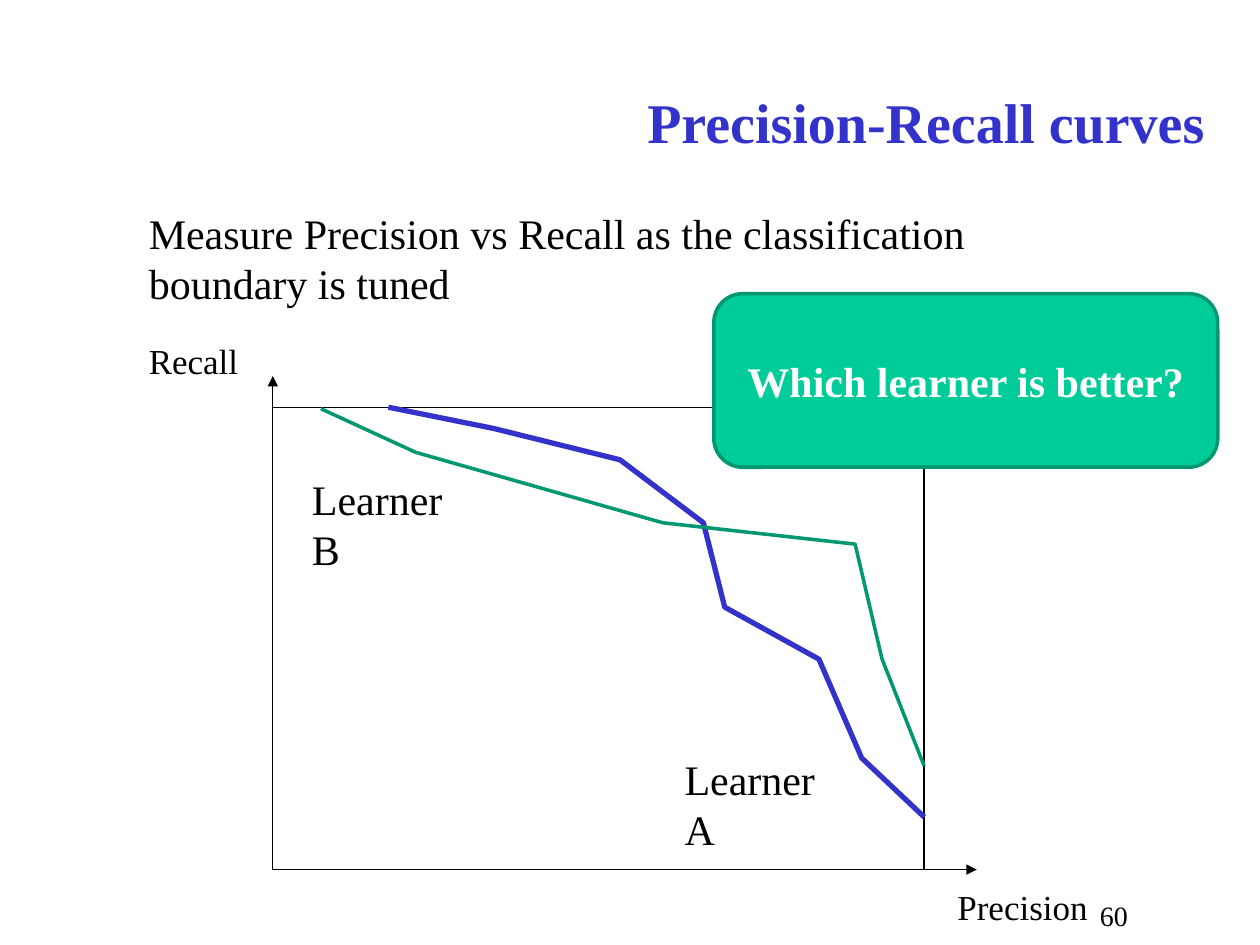
from pptx import Presentation
from pptx.dml.color import RGBColor
from pptx.enum.shapes import MSO_CONNECTOR, MSO_SHAPE
from pptx.enum.text import MSO_ANCHOR, PP_ALIGN
from pptx.oxml.ns import qn
from pptx.util import Cm, Pt
from lxml.etree import SubElement

COLORS = {"black": "000000", "blue": "3333CC", "green": "00CC99",
          "dark_green": "009771", "white": "FFFFFF"}


def write(sp, text, size, color="black", bold=False, align=PP_ALIGN.LEFT,
          anchor=MSO_ANCHOR.TOP):
    tf = sp.text_frame
    tf.word_wrap = True
    tf.vertical_anchor = anchor
    p = tf.paragraphs[0]
    p.alignment = align
    r = p.add_run()
    r.text = text
    for name, value in {"name": "Times New Roman", "size": Pt(size), "bold": bold}.items():
        setattr(r.font, name, value)
    r.font.color.rgb = RGBColor.from_string(COLORS[color])


def outline(sp, color, width):
    sp.line.color.rgb = RGBColor.from_string(COLORS[color])
    sp.line.width = Pt(width)


prs = Presentation()
prs.slide_width, prs.slide_height = Cm(25.4), Cm(19.05)
s = prs.slides.add_slide(prs.slide_layouts[5])

title = s.shapes.title
title_box = {"left": 2.96, "top": 0.85, "width": 21.59, "height": 3.18}
for name, value in title_box.items():
    setattr(title, name, Cm(value))
write(title, "Precision-Recall curves", 32, "blue", True, PP_ALIGN.RIGHT, MSO_ANCHOR.MIDDLE)

# Axes and plot frame
left, top, right, bottom = 5.5, 8.21, 18.63, 17.53
for end_x, end_y in [(19.69, bottom), (left, 7.58)]:
    axis = s.shapes.add_connector(MSO_CONNECTOR.STRAIGHT, Cm(left), Cm(bottom),
                                  Cm(end_x), Cm(end_y))
    outline(axis, "black", 0.75)
    SubElement(axis.line._get_or_add_ln(), qn("a:tailEnd"), type="triangle")
    SubElement(axis._element.spPr, qn("a:effectLst"))

frame = s.shapes.add_shape(MSO_SHAPE.RECTANGLE, Cm(left), Cm(top),
                           Cm(right - left), Cm(bottom - top))
frame.shadow.inherit = False
frame.fill.background()
outline(frame, "black", 0.75)

# Curves of learner A (blue) and learner B (green)
curves = [
    ("blue", 3,
     [(7.83, top), (9.96, 8.64), (12.5, 9.27), (14.18, 10.54), (14.61, 12.24),
      (16.51, 13.29), (17.37, 15.28), (right, 16.47)]),
    ("dark_green", 2,
     [(6.47, 8.24), (8.38, 9.12), (13.36, 10.54), (17.24, 10.97),
      (17.78, 13.28), (right, 15.44)]),
]
for color, width, points in curves:
    start, *rest = [(Cm(x), Cm(y)) for x, y in points]
    builder = s.shapes.build_freeform(*start)
    builder.add_line_segments(rest, close=False)
    curve = builder.convert_to_shape()
    curve.shadow.inherit = False
    curve.fill.background()
    outline(curve, color, width)

# Text and labels
labels = [
    ("Measure Precision vs Recall as the classification boundary is tuned",
     24, 2.75, 4.06, 19.9, 2.31),
    ("Recall", 20, 2.75, 6.72, 3.39, 1.1),
    ("Precision", 20, 19.05, 17.73, 4.45, 1.1),
    ("Learner A", 24, 13.55, 15.06, 3.53, 1.02),
    ("Learner B", 24, 6.04, 9.42, 3.53, 1.02),
    ("60", 16, 21.87, 17.98, 1.17, 0.94),
]
for text, size, *box in labels:
    label = s.shapes.add_textbox(*map(Cm, box))
    write(label, text, size, align=PP_ALIGN.CENTER if text == "60" else PP_ALIGN.LEFT)

question = s.shapes.add_shape(MSO_SHAPE.ROUNDED_RECTANGLE, Cm(14.39), Cm(5.92),
                              Cm(10.16), Cm(3.5))
question.shadow.inherit = False
question.fill.solid()
question.fill.fore_color.rgb = RGBColor.from_string(COLORS["green"])
outline(question, "dark_green", 2)
write(question, "Which learner is better?", 24, "white", True, PP_ALIGN.CENTER,
      MSO_ANCHOR.MIDDLE)

prs.save("out.pptx")
